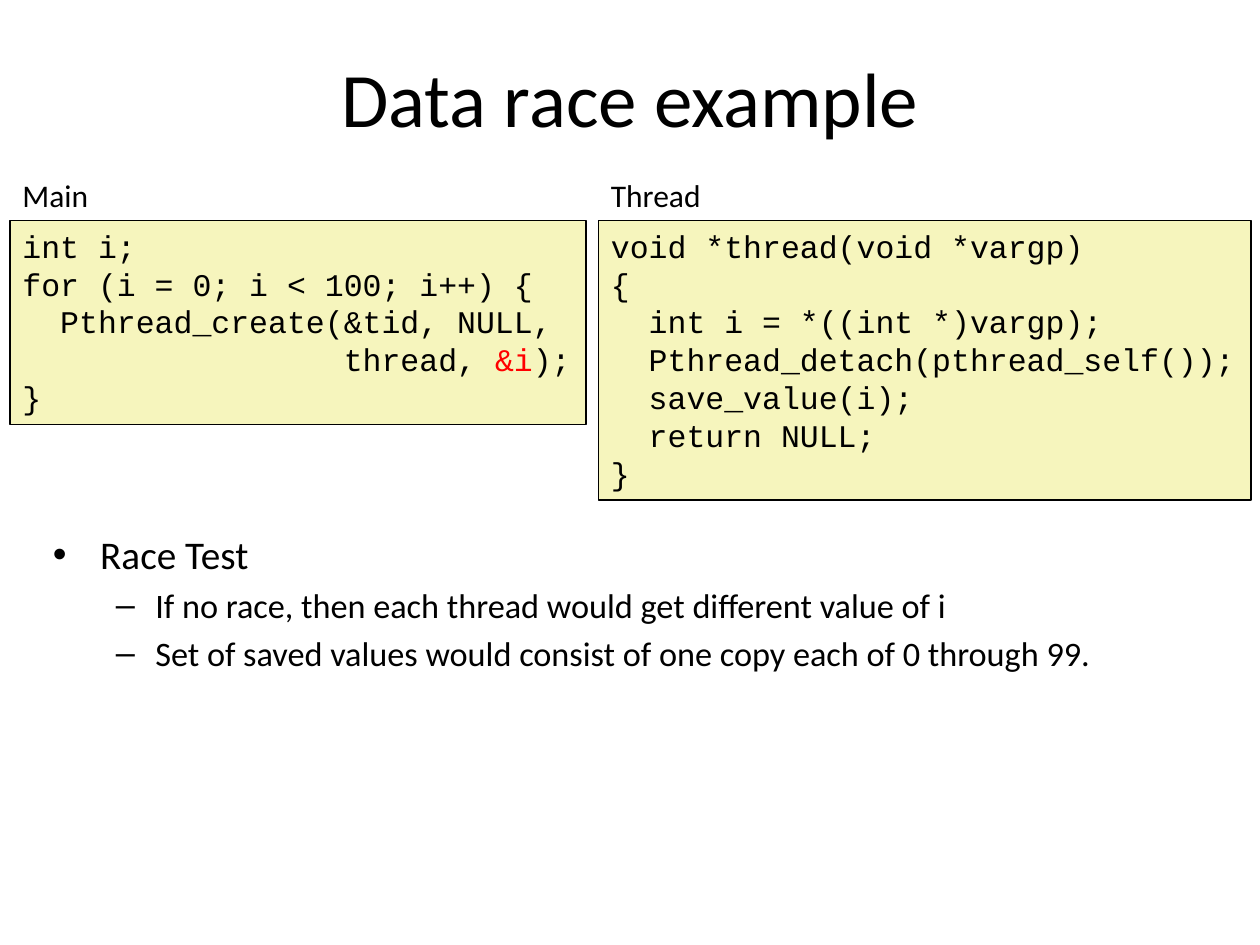
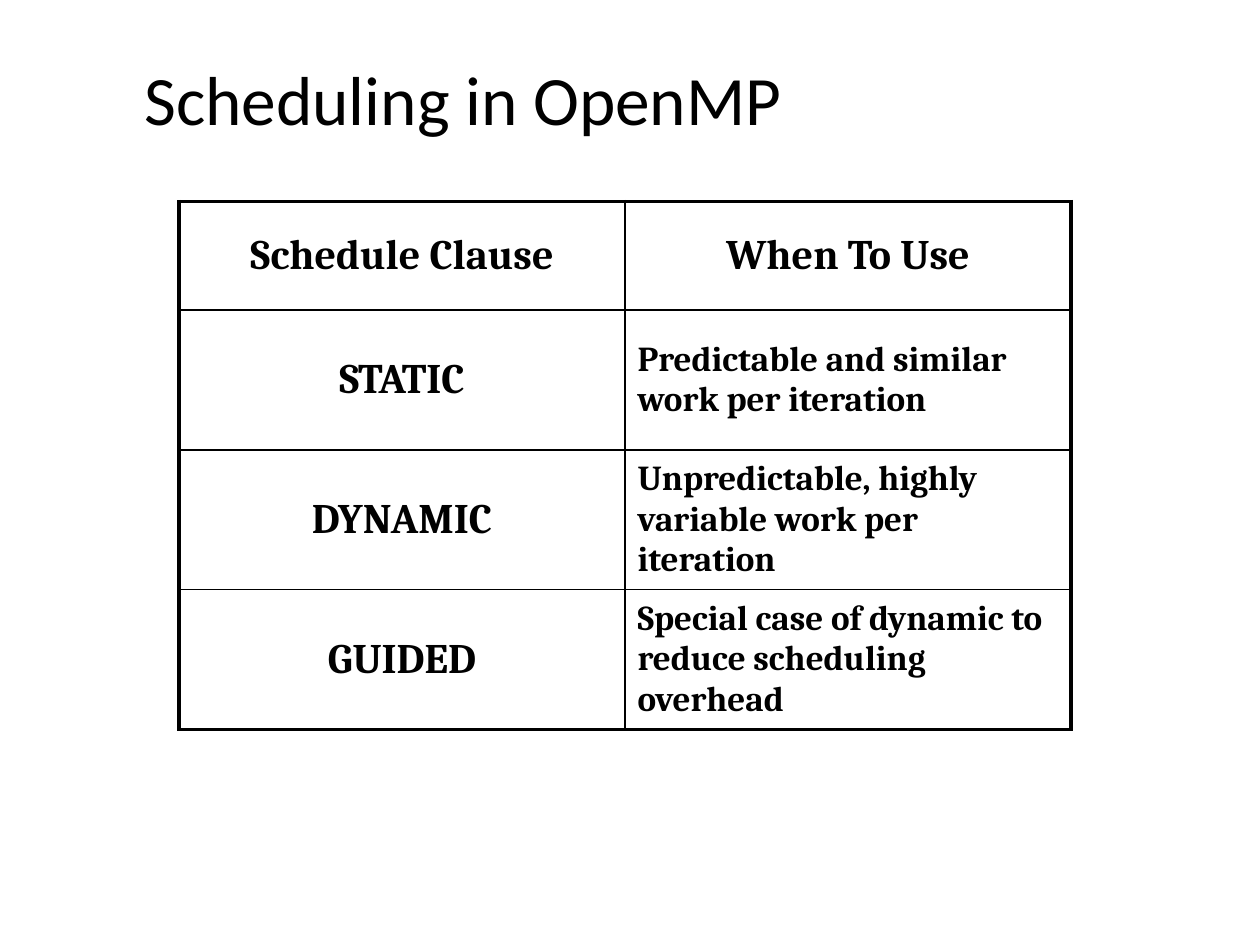
from dataclasses import dataclass

from lxml.etree import SubElement as Sub
from pptx import Presentation
from pptx.dml.color import RGBColor as RGB
from pptx.enum.shapes import MSO_SHAPE as Shape
from pptx.enum.text import MSO_ANCHOR as Anchor, MSO_AUTO_SIZE as Fit, PP_ALIGN as Align
from pptx.oxml.ns import qn
from pptx.util import Inches, Pt


@dataclass(frozen=True)
class Theme:
    ink: str = "000000"
    mark: str = "FF0000"
    panel: str = "F6F5BD"
    sans: str = "Calibri"
    serif: str = "Cambria"
    mono: str = "Courier New"
    title: float = 44
    small: float = 39.6
    point: float = 22.4
    sub: float = 19.6
    code: float = 18
    head: float = 24
    note: float = 20
    thin: float = 1
    thick: float = 2.25


T = Theme()
COLS, ROWS = 100, 75
WIDTH, HEIGHT = Inches(10), Inches(7.5)

# Code panels share one top row; labels sit directly above it.
PANEL_TOP, LABEL_ROWS = 17.5, 4

MAIN = """int i;
for (i = 0; i < 100; i++) {
  Pthread_create(&tid, NULL,
                 thread, &i);
}"""
THREAD = """void *thread(void *vargp)
{
  int i = *((int *)vargp);
  Pthread_detach(pthread_self());
  save_value(i);
  return NULL;
}"""
POINTS = [
    (0, "Race Test"),
    (1, "If no race, then each thread would get different value of i"),
    (1, "Set of saved values would consist of one copy each of 0 through 99."),
]
CLAUSES = [
    ("Schedule Clause", "When To Use"),
    ("STATIC", "Predictable and similar work per iteration"),
    ("DYNAMIC", "Unpredictable, highly variable work per iteration"),
    ("GUIDED", "Special case of dynamic to reduce scheduling overhead"),
]


def grid(col, row, wide, high):
    """Turn grid columns and rows into slide lengths."""
    return [int(n * unit) for n, unit in
            zip((col, row, wide, high), (WIDTH / COLS, HEIGHT / ROWS) * 2)]


def place(shape, *box):
    for name, value in zip(("left", "top", "width", "height"), grid(*box)):
        setattr(shape, name, value)


def style(font, color=T.ink, **form):
    for name, value in form.items():
        setattr(font, name, Pt(value) if name == "size" else value)
    font.color.rgb = RGB.from_string(color)


def add_title(slide, text, size, *box):
    title = slide.shapes.title
    place(title, *box)
    frame = title.text_frame
    frame.auto_size, frame.vertical_anchor = Fit.NONE, Anchor.MIDDLE
    para = frame.paragraphs[0]
    para.text, para.alignment = text, Align.CENTER
    style(para.runs[0].font, name=T.sans, size=size)


def add_list(slide, points, *box):
    body = slide.placeholders[1]
    place(body, *box)
    frame = body.text_frame
    frame.auto_size = Fit.NONE
    frame.text = "\n".join(text for _, text in points)
    frame.paragraphs[0].space_before = Pt(0)
    for para, (level, _) in zip(frame.paragraphs, points):
        para.level = level
        style(para.runs[0].font, name=T.sans, size=T.sub if level else T.point)


def hug(frame):
    """Let a box grow around unwrapped text."""
    frame.word_wrap, frame.auto_size = False, Fit.SHAPE_TO_FIT_TEXT
    frame.vertical_anchor = Anchor.TOP


def add_label(slide, text, *box):
    frame = slide.shapes.add_textbox(*grid(*box)).text_frame
    hug(frame)
    frame.text = text
    style(frame.paragraphs[0].runs[0].font, name=T.sans, size=T.code)


def add_code(slide, code, mark, *box):
    panel = slide.shapes.add_shape(Shape.RECTANGLE, *grid(*box))
    panel.shadow.inherit = False
    panel.fill.solid()
    panel.fill.fore_color.rgb = RGB.from_string(T.panel)
    panel.line.color.rgb = RGB.from_string(T.ink)
    panel.line.width = Pt(T.thin)
    frame = panel.text_frame
    hug(frame)
    for row, line in enumerate(code.split("\n")):
        para = frame.add_paragraph() if row else frame.paragraphs[0]
        para.alignment = Align.LEFT
        for part in line.partition(mark) if mark else [line]:
            if part:
                run = para.add_run()
                run.text = part
                style(run.font, T.mark if part == mark else T.ink,
                      name=T.mono, size=T.code)


def add_panel(slide, label, code, mark, col, wide, high, span):
    add_code(slide, code, mark, col, PANEL_TOP, wide, high)
    add_label(slide, label, col, PANEL_TOP - LABEL_ROWS, span, LABEL_ROWS)


def add_edges(cell, outer):
    """Draw all four borders, thick on the sides flagged as outer."""
    props = cell._tc.get_or_add_tcPr()
    for side, edge in outer.items():
        width = Pt(T.thick if edge else T.thin)
        line = Sub(props, qn(f"a:ln{side}"), w=str(width))
        Sub(Sub(line, qn("a:solidFill")), qn("a:srgbClr"), val=T.ink)


def add_table(slide, rows, highs, *box):
    wide = len(rows[0])
    table = slide.shapes.add_table(len(rows), wide, *grid(*box)).table
    table.first_row = table.horz_banding = False
    for r, texts in enumerate(rows):
        table.rows[r].height = int(highs[r] * HEIGHT / ROWS)
        for c, text in enumerate(texts):
            cell = table.cell(r, c)
            add_edges(cell, {"L": c == 0, "R": c == wide - 1,
                             "T": r == 0, "B": r == len(rows) - 1})
            cell.fill.background()
            cell.vertical_anchor = Anchor.MIDDLE
            cell.text = text
            note = r > 0 and c > 0
            para = cell.text_frame.paragraphs[0]
            para.alignment = Align.LEFT if note else Align.CENTER
            style(para.runs[0].font, name=T.serif, bold=True,
                  size=T.note if note else T.head)


def race(deck):
    slide = deck.slides.add_slide(deck.slide_layouts[1])
    add_title(slide, "Data race example", T.title, 5, 1.4, 90, 12.5)
    add_panel(slide, "Main", MAIN, "&i", 0.8, 45.7, 16.2, 7.4)
    add_panel(slide, "Thread", THREAD, "", 47.5, 51.8, 22.2, 9.3)
    add_list(slide, POINTS, 3.2, 41.6, 90.9, 14.4)


def schedule(deck):
    slide = deck.slides.add_slide(deck.slide_layouts[5])
    add_title(slide, "Scheduling in OpenMP", T.small, 8, 5.4, 57.5, 4.7)
    highs = [8.6] + [11.1] * 3
    add_table(slide, CLAUSES, highs, 14.2, 16, 70.8, sum(highs))


def main():
    deck = Presentation()
    deck.slide_width, deck.slide_height = WIDTH, HEIGHT
    race(deck)
    schedule(deck)
    deck.save("out.pptx")


if __name__ == "__main__":
    main()
